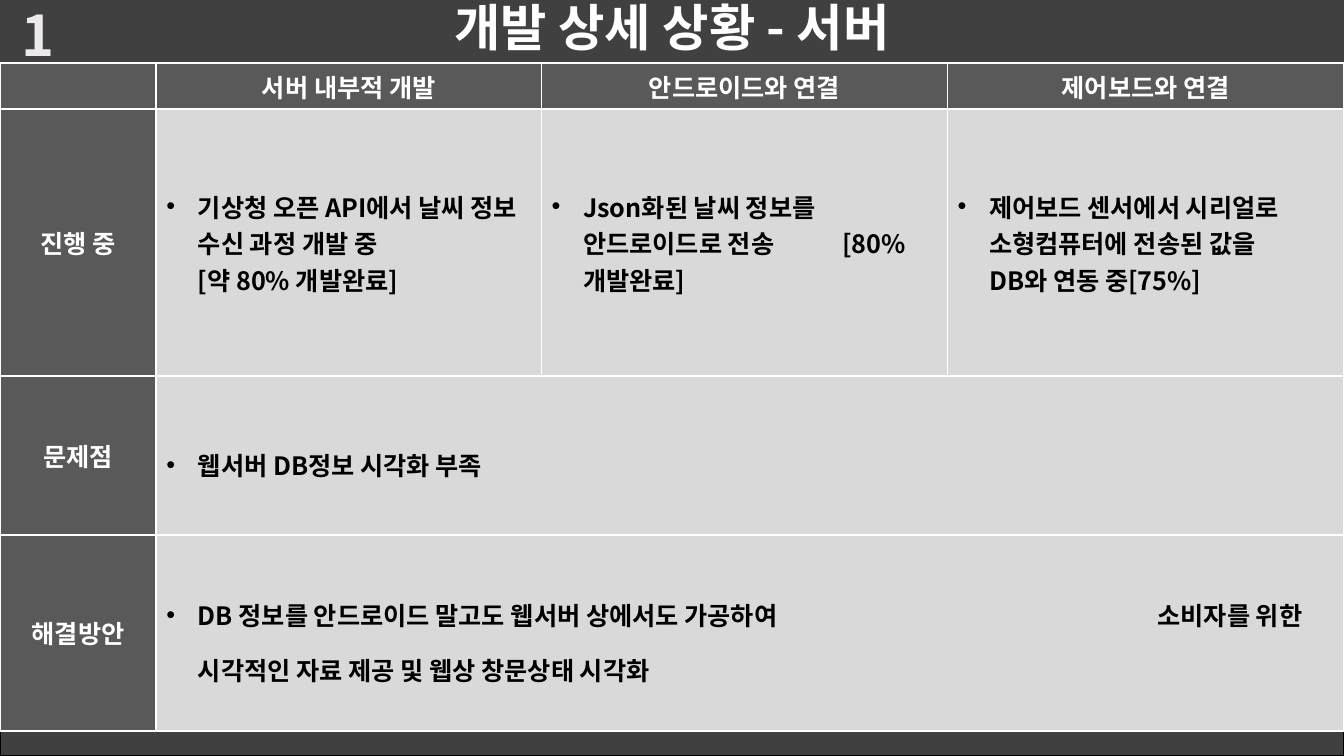
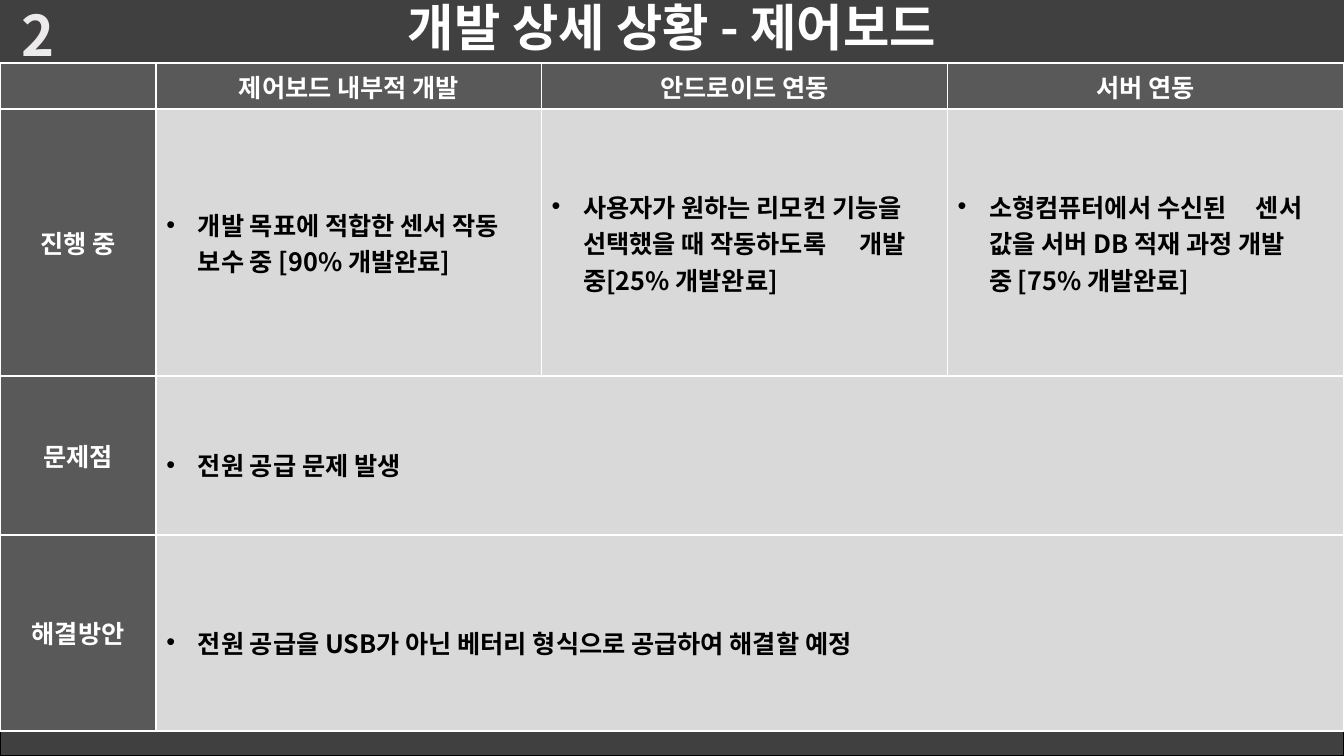
from lxml import etree
from pptx import Presentation
from pptx.dml.color import RGBColor
from pptx.enum.shapes import MSO_SHAPE
from pptx.enum.text import MSO_ANCHOR, MSO_AUTO_SIZE, PP_ALIGN
from pptx.oxml import parse_xml
from pptx.oxml.ns import nsdecls, qn
from pptx.util import Pt

FONT = "Noto Sans CJK KR"
COLORS = {
    "band": "404040", "head": "595959", "body": "D9D9D9",
    "white": "FFFFFF", "black": "000000", "number": "ECEAEA",
}
WIDTH, HEIGHT = 960, 540
TABLE_TOP, FOOTER_H = 45, 18
COLS = [111.6, 275.2, 290, 283.2]
ROWS = [33, 190.6, 113.6, 139.8]
ROW_LABELS = ["진행 중", "문제점", "해결방안"]
MARGIN_X, INDENT = 7.2, 22.5

SLIDES = [
    {
        "number": 13,
        "title": "개발 상세 상황 - 서버",
        "heads": ["서버 내부적 개발", "안드로이드와 연결", "제어보드와 연결"],
        "progress": [
            "기상청 오픈 API에서 날씨 정보 수신 과정 개발 중\v[약 80% 개발완료]",
            "Json화된 날씨 정보를\v안드로이드로 전송\t[80%\v개발완료]",
            "제어보드 센서에서 시리얼로 소형컴퓨터에 전송된 값을\vDB와 연동 중[75%]",
        ],
        "problem": "웹서버 DB정보 시각화 부족",
        "solution": "DB 정보를 안드로이드 말고도 웹서버 상에서도 가공하여\t소비자를 위한\v"
                    "시각적인 자료 제공 및 웹상 창문상태 시각화",
    },
    {
        "number": 14,
        "title": "개발 상세 상황 - 제어보드",
        "heads": ["제어보드 내부적 개발", "안드로이드 연동", "서버 연동"],
        "progress": [
            "개발 목표에 적합한 센서 작동 보수 중 [90% 개발완료]",
            "사용자가 원하는 리모컨 기능을 선택했을 때 작동하도록\t개발\v중[25% 개발완료]",
            "소형컴퓨터에서 수신된\t센서\v값을 서버 DB 적재 과정 개발\v중 [75% 개발완료]",
        ],
        "problem": "전원 공급 문제 발생",
        "solution": "전원 공급을 USB가 아닌 베터리 형식으로 공급하여 해결할 예정",
    },
]


def rgb(name):
    """Return a palette colour."""
    return RGBColor.from_string(COLORS[name])


def set_font(p, size, color):
    """Style a whole paragraph in the bold deck font."""
    p.font.size = Pt(size)
    p.font.bold = True
    p.font.name = FONT
    p.font.color.rgb = rgb(color)
    latin = p.font._element.find(qn("a:latin"))
    latin.addnext(parse_xml(f'<a:ea {nsdecls("a")} typeface="{FONT}"/>'))


def add_band(s, top, height):
    """Draw a full-width dark band and return it."""
    sp = s.shapes.add_shape(MSO_SHAPE.RECTANGLE, 0, Pt(top), Pt(WIDTH), Pt(height))
    sp.shadow.inherit = False
    sp.fill.solid()
    sp.fill.fore_color.rgb = rgb("band")
    sp.line.fill.background()
    return sp


def add_header(s, title):
    """Draw the top band with the slide title."""
    tf = add_band(s, -3, 49).text_frame
    tf.vertical_anchor = MSO_ANCHOR.MIDDLE
    p = tf.paragraphs[0]
    p.text = title
    p.alignment = PP_ALIGN.CENTER
    p.line_spacing = 0.9
    set_font(p, 36, "white")


def add_footer(s):
    """Draw the outlined bottom band."""
    sp = add_band(s, HEIGHT - FOOTER_H, FOOTER_H)
    sp.line.color.rgb = rgb("black")
    sp.line.width = Pt(1)


def add_number(s, number):
    """Place the slide number field in the top left corner."""
    tf = s.shapes.add_textbox(Pt(-3), Pt(-3), Pt(61), Pt(55.4)).text_frame
    tf.word_wrap = False
    tf.auto_size = MSO_AUTO_SIZE.SHAPE_TO_FIT_TEXT
    p = tf.paragraphs[0]
    p.alignment = PP_ALIGN.CENTER
    p._p.append(parse_xml(
        f'<a:fld {nsdecls("a")} id="{{B6F15528-21DE-4FAA-801E-634DDDAF4B2B}}" type="slidenum">'
        f'<a:rPr lang="ko-KR" sz="4000" b="1"><a:ln w="12700"><a:solidFill>'
        f'<a:srgbClr val="{COLORS["black"]}"/></a:solidFill></a:ln>'
        f'<a:solidFill><a:srgbClr val="{COLORS["number"]}"/></a:solidFill>'
        f'<a:latin typeface="{FONT}"/><a:ea typeface="{FONT}"/></a:rPr>'
        f'<a:t>{number}</a:t></a:fld>'))


def style_cell(cell, row, col):
    """Fill a cell and rule it, heavier around the header row and column."""
    cell.fill.solid()
    cell.fill.fore_color.rgb = rgb("head" if row == 0 or col == 0 else "body")
    cell.vertical_anchor = MSO_ANCHOR.MIDDLE
    widths = {"lnL": 1.5 if col == 1 else 1, "lnR": 1.5 if col == 0 else 1,
              "lnT": 1.5 if row else 1, "lnB": 1.5}
    tc_pr = cell._tc.get_or_add_tcPr()
    for i, (side, width) in enumerate(widths.items()):
        tc_pr.insert(i, parse_xml(
            f'<a:{side} {nsdecls("a")} w="{Pt(width)}"><a:solidFill>'
            f'<a:srgbClr val="{COLORS["white"]}"/></a:solidFill></a:{side}>'))


def write_head(cell, text):
    """Write a centred white heading."""
    p = cell.text_frame.paragraphs[0]
    p.text = text
    p.alignment = PP_ALIGN.CENTER
    set_font(p, 18, "white")


def write_bullet(cell, text, width, spacing=None):
    """Write a bulleted paragraph with a right tab at the cell's text edge."""
    p = cell.text_frame.paragraphs[0]
    p.text = text
    p.line_spacing = spacing
    p_pr = p._p.get_or_add_pPr()
    p_pr.set("marL", str(Pt(INDENT)))
    p_pr.set("indent", str(-Pt(INDENT)))
    etree.SubElement(p_pr, qn("a:buFont"), typeface="Arial")
    etree.SubElement(p_pr, qn("a:buChar"), char="•")
    if "\t" in text:
        tabs = etree.SubElement(p_pr, qn("a:tabLst"))
        pos = Pt(width - 2 * MARGIN_X - 2)
        etree.SubElement(tabs, qn("a:tab"), pos=str(pos), algn="r")
    set_font(p, 18, "black")


def add_status_table(s, data):
    """Build the status table between the two bands."""
    table = s.shapes.add_table(len(ROWS), len(COLS), 0, Pt(TABLE_TOP),
                               Pt(sum(COLS)), Pt(sum(ROWS))).table
    table.horz_banding = False
    for column, width in zip(table.columns, COLS):
        column.width = Pt(width)
    for row, height in zip(table.rows, ROWS):
        row.height = Pt(height)
    for r in range(len(ROWS)):
        for c in range(len(COLS)):
            style_cell(table.cell(r, c), r, c)
    for c, text in enumerate(data["heads"], 1):
        write_head(table.cell(0, c), text)
    for r, text in enumerate(ROW_LABELS, 1):
        write_head(table.cell(r, 0), text)
    for c, text in enumerate(data["progress"], 1):
        write_bullet(table.cell(1, c), text, COLS[c])
    for r, key in enumerate(("problem", "solution"), 2):
        table.cell(r, 1).merge(table.cell(r, 3))
        write_bullet(table.cell(r, 1), data[key], sum(COLS[1:]), 1.5)


def add_status_slide(prs, data):
    """Add one development status slide."""
    s = prs.slides.add_slide(prs.slide_layouts[6])
    add_header(s, data["title"])
    add_footer(s)
    add_number(s, data["number"])
    add_status_table(s, data)


def main():
    """Build and save the deck."""
    prs = Presentation()
    prs.slide_width, prs.slide_height = Pt(WIDTH), Pt(HEIGHT)
    for data in SLIDES:
        add_status_slide(prs, data)
    prs.save("out.pptx")


if __name__ == "__main__":
    main()
